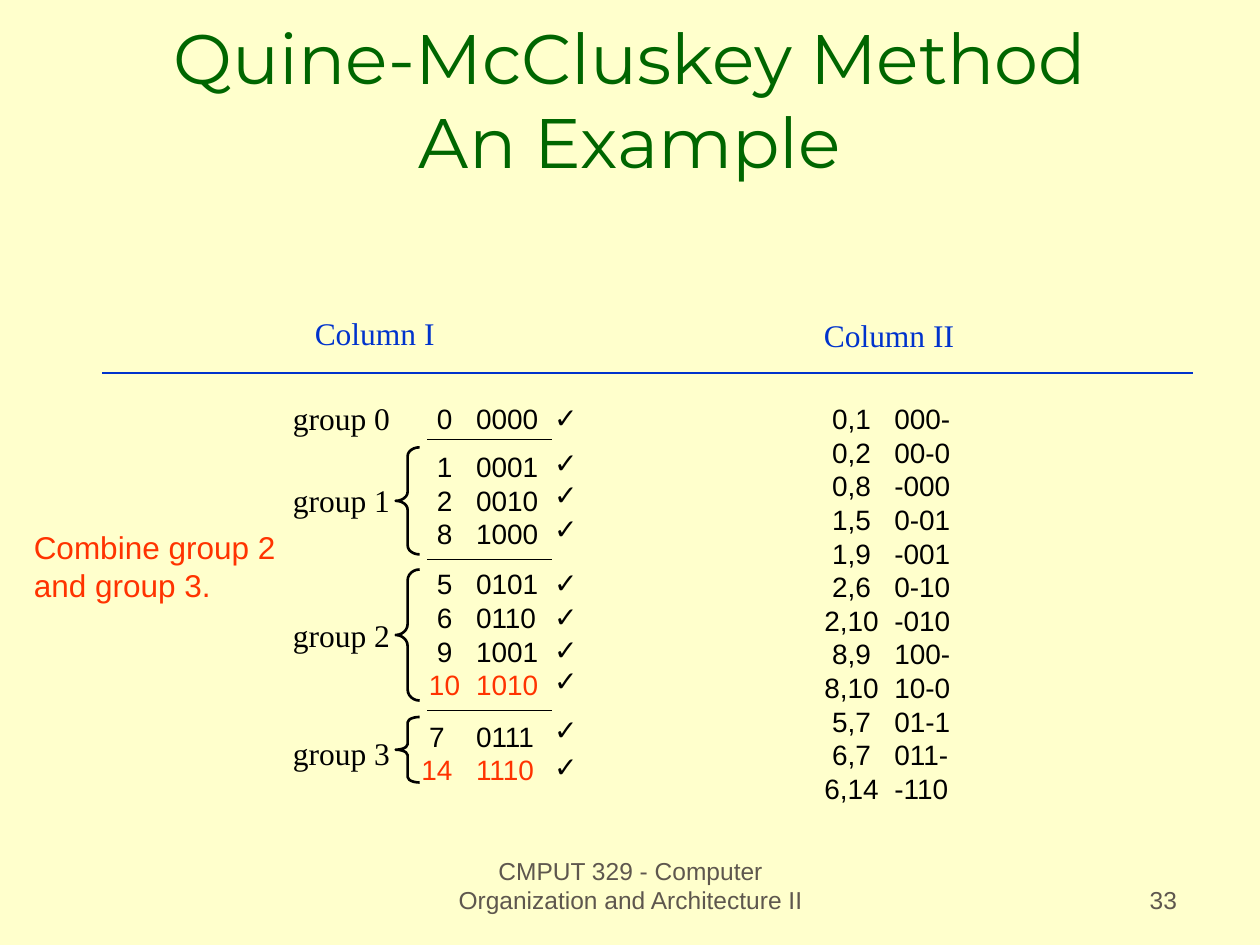
from lxml import etree
from pptx import Presentation
from pptx.dml.color import RGBColor
from pptx.enum import shapes, text
from pptx.oxml import ns
from pptx.util import Inches, Pt

BLACK, RED, BLUE, GREEN, GREY, CREAM = "000000", "FF3300", "0033CC", "006600", "5E574E", "FFFFCC"
SANS, SERIF, DISPLAY = "Arial", "Times New Roman", "Montserrat"
LEFT, CENTER, RIGHT = text.PP_ALIGN.LEFT, text.PP_ALIGN.CENTER, text.PP_ALIGN.RIGHT
TOP, BOTTOM = text.MSO_ANCHOR.TOP, text.MSO_ANCHOR.BOTTOM

TITLE = "Quine-McCluskey Method\vAn Example"
HEADINGS = [("Column I", 2.4, 2.44), ("Column II", 6.44, 2.46)]
GROUPS = [
    dict(label_top=3.12, top=3.14, number_tab=0.23, terms=[("0", "0000")],
         checks=[3.13]),
    dict(label_top=3.77, top=3.52, number_tab=0.23,
         terms=[("1", "0001"), ("2", "0010"), ("8", "1000")],
         checks=[3.49, 3.74, 4.01], brace=(3.55, 0.85)),
    dict(label_top=4.84, top=4.45, number_tab=0.23,
         terms=[("5", "0101"), ("6", "0110"), ("9", "1001"), ("10", "1010")],
         checks=[4.44, 4.71, 4.97, 5.22], brace=(4.52, 1.04)),
    dict(label_top=5.78, top=5.66, number_tab=0.17,
         terms=[("7", "0111"), ("14", "1110")],
         checks=[5.61, 5.9], brace=(5.69, 0.52)),
]
COMBINED = {"10", "14"}
PAIRS = [
    ("0,1", "000-"), ("0,2", "00-0"), ("0,8", "-000"), ("1,5", "0-01"),
    ("1,9", "-001"), ("2,6", "0-10"), ("2,10", "-010"), ("8,9", "100-"),
    ("8,10", "10-0"), ("5,7", "01-1"), ("6,7", "011-"), ("6,14", "-110"),
]
NOTE = ["Combine group 2", "and group 3."]
COURSE = "CMPUT 329 - Computer Organization and Architecture II"
PAGE = "33"
SEPARATORS = [3.49, 4.44, 5.64]
LINE_HEIGHT = 0.27


def rgb(color):
    return RGBColor.from_string(color)


def style(paragraph, size, font, color, align=LEFT):
    paragraph.alignment = align
    for run in paragraph.runs:
        run.font.size, run.font.name = Pt(size), font
        run.font.color.rgb = rgb(color)


def place(left, top, width, height):
    return [Inches(length) for length in (left, top, width, height)]


def write(slide, lines, box, size, font, color, align=LEFT, anchor=TOP):
    frame = slide.shapes.add_textbox(*place(*box)).text_frame
    frame.word_wrap, frame.vertical_anchor = True, anchor
    frame.text = "\n".join(lines)
    for paragraph in frame.paragraphs:
        style(paragraph, size, font, color, align)
    return frame


def write_terms(slide, terms, left, top, width, number_tab, code_tab):
    lines = [f"\t{number}\t{code}" for number, code in terms]
    box = (left, top, width, 0.1 + LINE_HEIGHT * len(terms))
    frame = write(slide, lines, box, 16, SANS, BLACK)
    for paragraph, (number, code) in zip(frame.paragraphs, terms):
        stops = etree.SubElement(paragraph._p.get_or_add_pPr(), ns.qn("a:tabLst"))
        for position, align in ((number_tab, "ctr"), (code_tab, "l")):
            etree.SubElement(stops, ns.qn("a:tab"), pos=str(Inches(position)), algn=align)
        if number in COMBINED:
            style(paragraph, 16, SANS, RED)


def draw_rule(slide, left, right, top, color):
    rule = slide.shapes.add_connector(
        shapes.MSO_CONNECTOR.STRAIGHT, Inches(left), Inches(top), Inches(right), Inches(top))
    rule.line.color.rgb, rule.line.width = rgb(color), Pt(0.75)
    etree.SubElement(rule._element.spPr, ns.qn("a:effectLst"))


def draw_brace(slide, top, height, left=3.14, width=0.19):
    brace = slide.shapes.add_shape(
        shapes.MSO_SHAPE.LEFT_BRACE, *place(left, top, width, height))
    brace.adjustments[0] = height / 12 / width
    brace.shadow.inherit = False
    brace.fill.background()
    brace.line.color.rgb, brace.line.width = rgb(BLACK), Pt(1.5)


def main():
    deck = Presentation()
    deck.slide_width, deck.slide_height = Inches(10), Inches(7.5)
    slide = deck.slides.add_slide(deck.slide_layouts[5])
    slide.background.fill.solid()
    slide.background.fill.fore_color.rgb = rgb(CREAM)

    title = slide.shapes.title
    title.left, title.top, title.width, title.height = place(0.75, 0.25, 8.5, 1.25)
    title.text_frame.text = TITLE
    title.text_frame.vertical_anchor = BOTTOM
    title.text_frame.auto_size = text.MSO_AUTO_SIZE.NONE
    style(title.text_frame.paragraphs[0], 40, DISPLAY, GREEN, CENTER)

    for heading, left, top in HEADINGS:
        write(slide, [heading], (left, top, 1.3, 0.4), 18, SERIF, BLUE)
    draw_rule(slide, 0.81, 9.47, 2.96, BLUE)

    for index, group in enumerate(GROUPS):
        write(slide, [f"group {index}"], (2.2, group["label_top"], 1.02, 0.4),
              18, SERIF, BLACK, CENTER)
        write_terms(slide, group["terms"], 3.2, group["top"], 1.17, group["number_tab"], 0.48)
        for check_top in group["checks"]:
            write(slide, ["✓"], (4.3, check_top, 0.37, 0.37), 16, SANS, BLACK)
        if "brace" in group:
            draw_brace(slide, *group["brace"])
    for separator in SEPARATORS:
        draw_rule(slide, 3.39, 4.38, separator, BLACK)

    write_terms(slide, PAIRS, 6.39, 3.14, 1.26, 0.27, 0.61)
    write(slide, NOTE, (0.17, 4.14, 2.2, 0.7), 18, SANS, RED)
    write(slide, [COURSE], (3.42, 6.81, 3.17, 0.5), 14, SANS, GREY, CENTER, BOTTOM)
    write(slide, [PAGE], (7.36, 6.81, 2.08, 0.5), 14, SANS, GREY, RIGHT, BOTTOM)
    deck.save("out.pptx")


if __name__ == "__main__":
    main()
